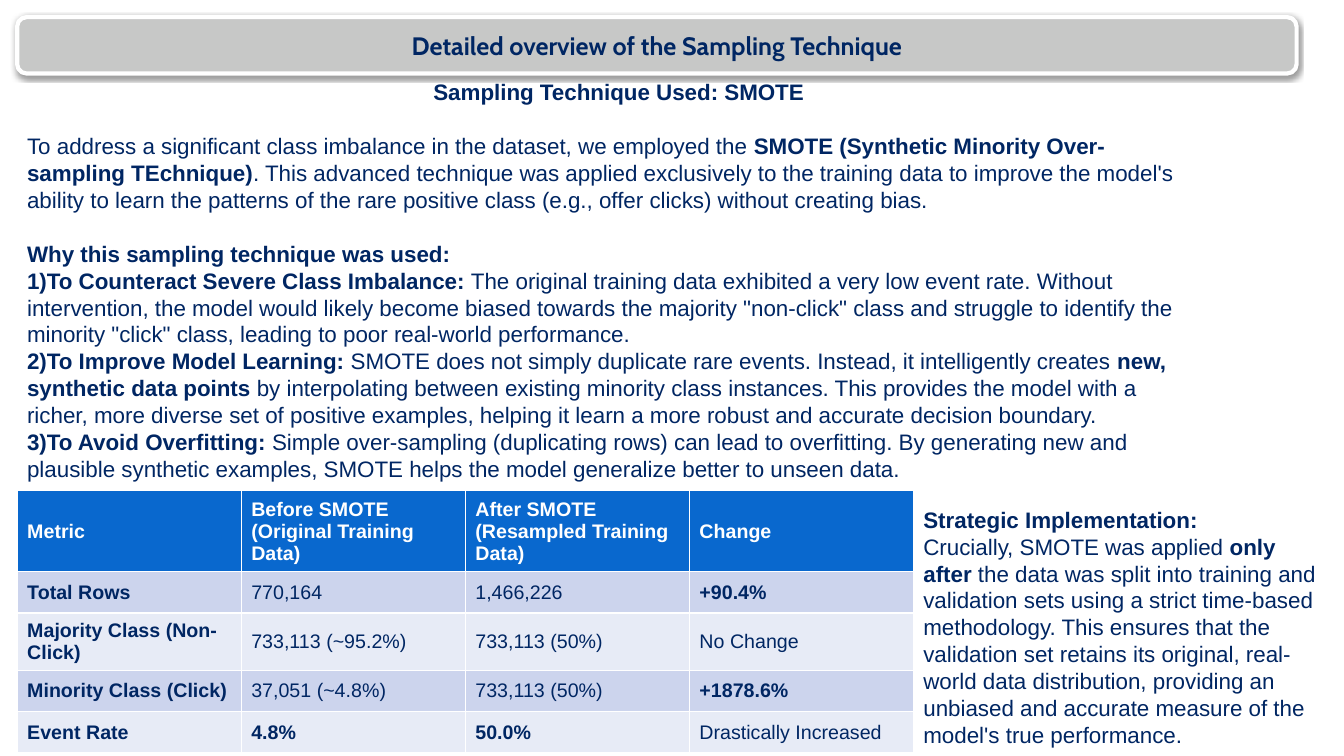
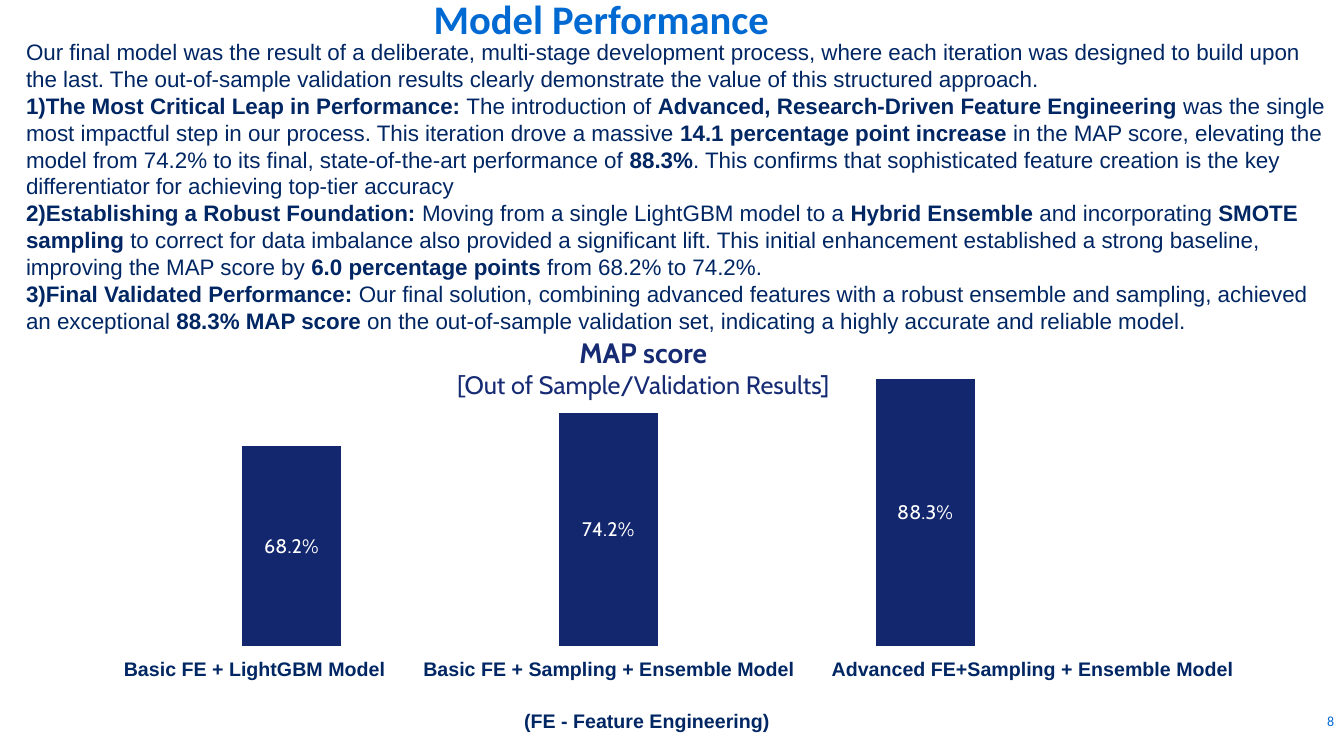
from pptx import Presentation
from pptx.chart.data import CategoryChartData
from pptx.dml.color import RGBColor
from pptx.enum.chart import XL_CHART_TYPE, XL_LABEL_POSITION
from pptx.enum.shapes import MSO_SHAPE
from pptx.enum.text import MSO_ANCHOR, PP_ALIGN
from pptx.oxml import parse_xml
from pptx.oxml.ns import nsdecls, qn
from pptx.util import Inches, Pt

NAVY = RGBColor(0x00, 0x26, 0x63)
BLUE = RGBColor(0x00, 0x6A, 0xD2)
HEADER_BLUE = RGBColor(0x09, 0x68, 0xCE)
BAR_NAVY = RGBColor(0x13, 0x27, 0x6E)
CHART_TITLE_NAVY = RGBColor(0x16, 0x2B, 0x73)
GREY = RGBColor(0xC7, 0xC8, 0xC7)
WHITE = RGBColor(0xFF, 0xFF, 0xFF)
BAND_COLORS = (RGBColor(0xE7, 0xEB, 0xF6), RGBColor(0xCC, 0xD4, 0xED))

LEFT, CENTER, RIGHT = PP_ALIGN.LEFT, PP_ALIGN.CENTER, PP_ALIGN.RIGHT
TOP, MIDDLE = MSO_ANCHOR.TOP, MSO_ANCHOR.MIDDLE
ROUNDED = MSO_SHAPE.ROUNDED_RECTANGLE
COLUMNS = XL_CHART_TYPE.COLUMN_CLUSTERED
LABEL_CENTER = XL_LABEL_POSITION.CENTER

BODY_LINE = Pt(19.2)

SMOTE_INTRO = (
    "To address a significant class imbalance in the dataset, we employed the **SMOTE (Synthetic Minority "
    "Over-sampling TEchnique)**. This advanced technique was applied exclusively to the training data to "
    "improve the model's ability to learn the patterns of the rare positive class (e.g., offer clicks) "
    "without creating bias."
)
SMOTE_REASONS = [
    "**Why this sampling technique was used:**",
    "**1)To Counteract Severe Class Imbalance:** The original training data exhibited a very low event rate. "
    "Without intervention, the model would likely become biased towards the majority \"non-click\" class and "
    "struggle to identify the minority \"click\" class, leading to poor real-world performance.",
    "**2)To Improve Model Learning:** SMOTE does not simply duplicate rare events. Instead, it intelligently "
    "creates **new, synthetic data points** by interpolating between existing minority class instances. This "
    "provides the model with a richer, more diverse set of positive examples, helping it learn a more robust "
    "and accurate decision boundary.",
    "**3)To Avoid Overfitting:** Simple over-sampling (duplicating rows) can lead to overfitting. By generating "
    "new and plausible synthetic examples, SMOTE helps the model generalize better to unseen data.",
]
STRATEGY = [
    "**Strategic Implementation:**",
    "Crucially, SMOTE was applied **only after** the data was split into training and validation sets using a "
    "strict time-based methodology. This ensures that the validation set retains its original, real-world data "
    "distribution, providing an unbiased and accurate measure of the model's true performance.",
]
SMOTE_TABLE = [
    ["**Metric**", "**Before SMOTE (Original Training Data)**",
     "**After SMOTE (Resampled Training Data)**", "**Change**"],
    ["**Total Rows**", "770,164", "1,466,226", "**+90.4%**"],
    ["**Majority Class (Non-Click)**", "733,113 (~95.2%)", "733,113 (50%)", "No Change"],
    ["**Minority Class (Click)**", "37,051 (~4.8%)", "733,113 (50%)", "**+1878.6%**"],
    ["**Event Rate**", "**4.8%**", "**50.0%**", "Drastically Increased"],
]
ROW_HEIGHTS = (0.78, 0.41, 0.57, 0.41, 0.41)

PERFORMANCE = [
    "Our final model was the result of a deliberate, multi-stage development process, where each iteration was "
    "designed to build upon the last. The out-of-sample validation results clearly demonstrate the value of "
    "this structured approach.",
    "**1)The Most Critical Leap in Performance:** The introduction of **Advanced, Research-Driven Feature "
    "Engineering** was the single most impactful step in our process. This iteration drove a massive **14.1 "
    "percentage point increase** in the MAP score, elevating the model from 74.2% to its final, "
    "state-of-the-art performance of **88.3%**. This confirms that sophisticated feature creation is the key "
    "differentiator for achieving top-tier accuracy",
    "**2)Establishing a Robust Foundation:** Moving from a single LightGBM model to a **Hybrid Ensemble** and "
    "incorporating **SMOTE sampling** to correct for data imbalance also provided a significant lift. This "
    "initial enhancement established a strong baseline, improving the MAP score by **6.0 percentage points** "
    "from 68.2% to 74.2%.",
    "**3)Final Validated Performance:** Our final solution, combining advanced features with a robust ensemble "
    "and sampling, achieved an exceptional **88.3% MAP score** on the out-of-sample validation set, indicating "
    "a highly accurate and reliable model.",
]
BAR_VALUES = (0.0006, 0.0007, 0.0008)
BAR_LABELS = ("68.2%", "74.2%", "88.3%")
BAR_CAPTIONS = [
    (1.13, 2.8, "Basic FE + LightGBM Model"),
    (4.1, 3.9, "Basic FE + Sampling + Ensemble Model"),
    (8.15, 4.2, "Advanced FE+Sampling + Ensemble Model"),
]


def write_text(frame, paragraphs, size=16, font="Arial", color=NAVY, align=LEFT,
               line=None, before=None, later_size=None):
    for index, text in enumerate(paragraphs):
        paragraph = frame.paragraphs[0] if index == 0 else frame.add_paragraph()
        paragraph.alignment = align
        if line:
            paragraph.line_spacing = line
        if before and index in before:
            paragraph.space_before = before[index]
        for part, words in enumerate(text.split("**")):
            if words:
                run = paragraph.add_run()
                run.text = words
                run.font.name = font
                run.font.size = Pt(later_size if later_size and index else size)
                run.font.bold = part % 2 == 1
                run.font.color.rgb = color


def add_text(slide, box, *paragraphs, inset=True, anchor=TOP, **text_format):
    frame = slide.shapes.add_textbox(*map(Inches, box)).text_frame
    frame.word_wrap = True
    frame.vertical_anchor = anchor
    if not inset:
        frame.margin_left = frame.margin_right = frame.margin_top = frame.margin_bottom = 0
    write_text(frame, paragraphs, **text_format)


def add_title_band(slide, box, title):
    band = slide.shapes.add_shape(ROUNDED, *map(Inches, box))
    band.fill.solid()
    band.fill.fore_color.rgb = GREY
    band.line.color.rgb = WHITE
    band.line.width = Pt(3)
    band.shadow.inherit = False
    band.element.spPr.find(qn("a:effectLst")).append(parse_xml(
        f'<a:outerShdw {nsdecls("a")} blurRad="{Pt(3.1)}" dist="{Pt(1.6)}" dir="5400000" rotWithShape="0">'
        '<a:srgbClr val="000000"><a:alpha val="38000"/></a:srgbClr></a:outerShdw>'))
    band.text_frame.vertical_anchor = MIDDLE
    write_text(band.text_frame, [f"**{title}**"], size=18, font="Cabin", align=CENTER)


def add_metric_table(slide, box, rows):
    table = slide.shapes.add_table(len(rows), len(rows[0]), *map(Inches, box)).table
    for row_index, row in enumerate(rows):
        table.rows[row_index].height = Inches(ROW_HEIGHTS[row_index])
        is_header = row_index == 0
        for column_index, text in enumerate(row):
            cell = table.cell(row_index, column_index)
            cell.fill.solid()
            cell.fill.fore_color.rgb = HEADER_BLUE if is_header else BAND_COLORS[row_index % 2]
            cell.vertical_anchor = MIDDLE
            write_text(cell.text_frame, [text], size=14, color=WHITE if is_header else NAVY)


def add_score_chart(slide, box):
    data = CategoryChartData(number_format="0.00%")
    data.categories = ["1", "2", "3"]
    data.add_series("Series 1", BAR_VALUES)
    chart = slide.shapes.add_chart(COLUMNS, *map(Inches, box), data).chart
    chart.has_title = chart.has_legend = False
    chart.font.name = "Arial"
    chart.font.size = Pt(10)
    chart.font.color.rgb = NAVY
    chart.category_axis.visible = False
    axis = chart.value_axis
    axis.visible = axis.has_major_gridlines = False
    axis.minimum_scale, axis.maximum_scale = 0, 0.0009
    axis.tick_labels.number_format = "0.00%"
    axis.tick_labels.number_format_is_linked = False

    plot = chart.plots[0]
    plot.gap_width, plot.overlap = 219, -33
    plot.vary_by_categories = False
    series = plot.series[0]
    series.format.fill.solid()
    series.format.fill.fore_color.rgb = BAR_NAVY
    labels = series.data_labels
    labels.show_value = True
    labels.number_format = "0.00%"
    labels.number_format_is_linked = False
    labels.position = LABEL_CENTER
    labels.font.name = "Cabin"
    labels.font.size = Pt(14)
    labels.font.bold = True
    labels.font.color.rgb = WHITE
    for index, text in enumerate(BAR_LABELS):
        label = series.points[index].data_label
        write_text(label.text_frame, [text], size=14, font="Cabin", color=WHITE, align=CENTER)
        label.position = LABEL_CENTER

    area = chart.element.find(".//" + qn("c:plotArea"))
    for layout in area.findall(qn("c:layout")):
        area.remove(layout)
    area.insert(0, parse_xml(
        f'<c:layout {nsdecls("c")}><c:manualLayout><c:layoutTarget val="inner"/>'
        '<c:xMode val="edge"/><c:yMode val="edge"/><c:x val="0"/><c:y val="0.2"/>'
        '<c:w val="0.97"/><c:h val="0.78"/></c:manualLayout></c:layout>'))


def build_sampling_slide(slide):
    add_title_band(slide, (0.17, 0.17, 12.69, 0.56), "Detailed overview of the Sampling Technique")
    add_text(slide, (4.2, 0.73, 4.2, 0.37), "**Sampling Technique Used: SMOTE**", line=BODY_LINE)
    add_text(slide, (0.17, 1.26, 11.82, 3.6), SMOTE_INTRO, *SMOTE_REASONS,
             line=BODY_LINE, before={1: Pt(19.6)})
    add_metric_table(slide, (0.17, 4.87, 8.89, 2.58), SMOTE_TABLE)
    add_text(slide, (9.06, 4.97, 4.2, 2.52), *STRATEGY, line=BODY_LINE)


def build_performance_slide(slide):
    add_text(slide, (12.18, 6.99, 1.15, 0.33), "8", size=10, font="Calibri", color=BLUE,
             align=RIGHT, anchor=MIDDLE)
    add_text(slide, (3.35, 3.33, 6.06, 0.64), "**MAP score**", "[Out of Sample/Validation Results]",
             size=20, later_size=18, font="Cabin", color=CHART_TITLE_NAVY, align=CENTER, inset=False)
    add_score_chart(slide, (1.32, 2.67, 9.72, 3.82))
    add_text(slide, (4.3, 0.02, 5, 0.45), "**Model Performance**", size=29, font="Calibri",
             color=BLUE, line=0.82, inset=False)
    add_text(slide, (0.16, 0.33, 13.17, 3.33), *PERFORMANCE, line=BODY_LINE)
    for left, width, caption in BAR_CAPTIONS:
        add_text(slide, (left, 6.47, width, 0.34), f"**{caption}**", size=14)
    add_text(slide, (5.1, 6.98, 3.13, 0.34), "**(FE - Feature Engineering)**", size=14)


def main():
    presentation = Presentation()
    presentation.slide_width = Inches(13.33)
    presentation.slide_height = Inches(7.5)
    blank = presentation.slide_layouts[6]
    for build in (build_sampling_slide, build_performance_slide):
        build(presentation.slides.add_slide(blank))
    presentation.save("out.pptx")


if __name__ == "__main__":
    main()
